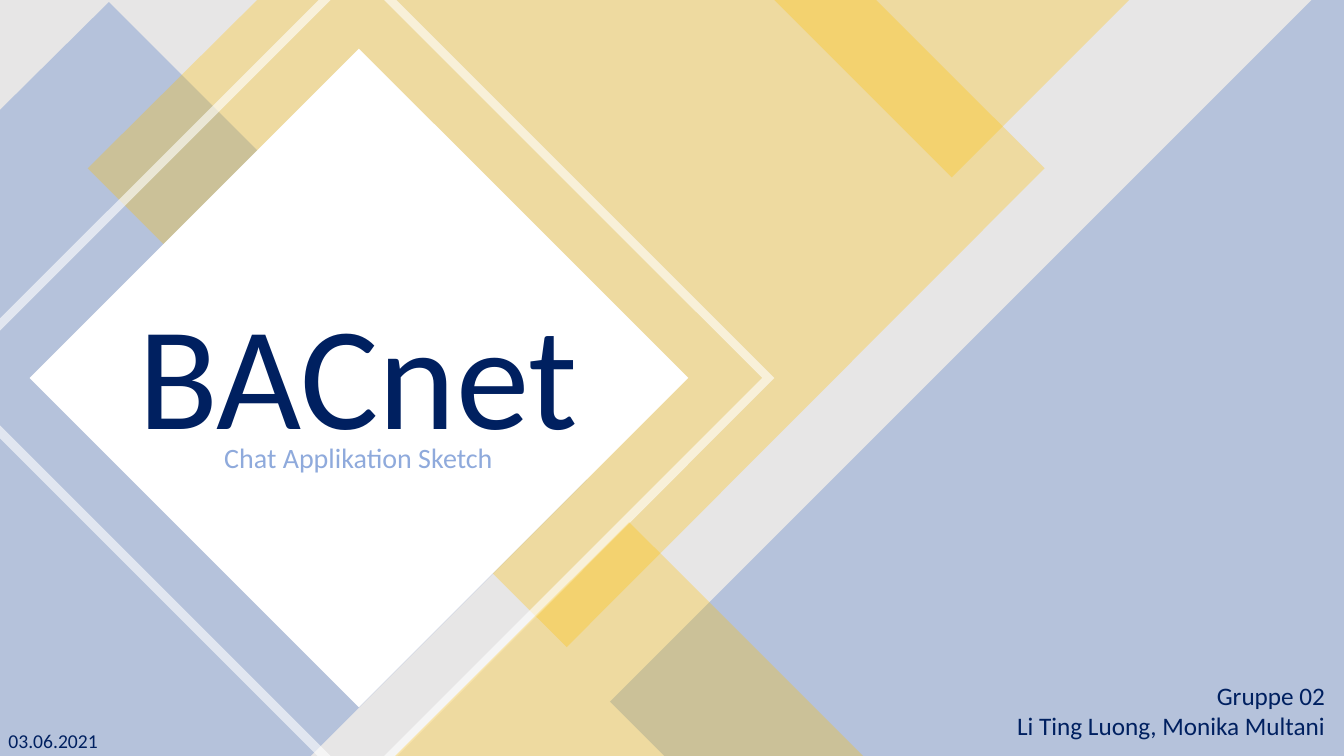
from lxml.etree import SubElement
from pptx import Presentation
from pptx.dml.color import RGBColor
from pptx.enum.shapes import MSO_SHAPE as Preset
from pptx.enum.text import MSO_ANCHOR as Anchor, MSO_AUTO_SIZE as AutoSize, PP_ALIGN as Align
from pptx.oxml.ns import qn
from pptx.util import Inches, Pt

COLOURS = {
    "grey": "E7E6E6",
    "white": "FFFFFF",
    "blue": "4472C4",
    "yellow": "FFC000",
    "navy": "002060",
    "light_blue": "8FAADC",
}
FONT = "Calibri"
WIDTH, HEIGHT = 13.33, 7.5

LEFT_BLUE = [(1.08, 0.02), (5.82, 4.76), (3.08, 7.5), (0, 7.5), (0, 1.09)]
TOP_YELLOW = [(2.55, 0), (8.69, 0), (10.36, 1.67), (5.62, 6.42), (0.87, 1.67)]
RIGHT_BLUE = [(13.01, 0), (WIDTH, 0), (WIDTH, HEIGHT), (6.59, HEIGHT), (6.05, 6.96)]
FRAME_BANDS = [
    [(0, 4.22), (3.28, 7.5), (3.15, 7.5), (0, 4.35)],
    [(3.81, 0), (3.93, 0), (7.68, 3.75), (3.94, 7.5), (3.81, 7.5), (7.56, 3.75)],
    [(3.16, 0), (3.28, 0), (0, 3.28), (0, 3.16)],
]


def paint(shape, colour, opacity=100):
    """Give a shape a flat fill without line or shadow; opacity is in percent."""
    shape.shadow.inherit = False
    shape.line.fill.background()
    shape.fill.solid()
    shape.fill.fore_color.rgb = RGBColor.from_string(COLOURS[colour])
    if opacity < 100:
        colour_node = shape._element.spPr.find(qn("a:solidFill"))[0]
        SubElement(colour_node, qn("a:alpha"), val=str(opacity * 1000))


def add_preset(slide, preset, box, colour, opacity=100, rotation=0):
    shape = slide.shapes.add_shape(preset, *map(Inches, box))
    shape.rotation = rotation
    paint(shape, colour, opacity)


def add_outline(slide, contours, colour, opacity):
    """Draw one freeform from closed contours given in slide inches."""
    paths = [[(Inches(x), Inches(y)) for x, y in contour] for contour in contours]
    builder = slide.shapes.build_freeform(*paths[0][0])
    for number, points in enumerate(paths):
        if number:
            builder.move_to(*points[0])
        builder.add_line_segments(points[1:], close=True)
    paint(builder.convert_to_shape(), colour, opacity)


def add_text(slide, text, box, size, colour="navy", align=Align.RIGHT,
             anchor=Anchor.TOP, line_spacing=None, grow=False):
    """Add a text box; each line of text becomes a paragraph."""
    frame = slide.shapes.add_textbox(*map(Inches, box)).text_frame
    frame.word_wrap = True
    frame.vertical_anchor = anchor
    frame.auto_size = AutoSize.SHAPE_TO_FIT_TEXT if grow else AutoSize.NONE
    frame.text = text
    for paragraph in frame.paragraphs:
        paragraph.alignment = align
        paragraph.line_spacing = line_spacing
        for run in paragraph.runs:
            run.font.name = FONT
            run.font.size = Pt(size)
            run.font.color.rgb = RGBColor.from_string(COLOURS[colour])


def main():
    deck = Presentation()
    deck.slide_width, deck.slide_height = Inches(WIDTH), Inches(HEIGHT)
    slide = deck.slides.add_slide(deck.slide_layouts[6])

    add_preset(slide, Preset.RECTANGLE, (0, 0, WIDTH, HEIGHT), "grey")
    add_outline(slide, [LEFT_BLUE], "blue", 30)
    add_outline(slide, [TOP_YELLOW], "yellow", 30)
    add_outline(slide, [RIGHT_BLUE], "blue", 30)
    add_preset(slide, Preset.RECTANGLE, (1.25, 1.44, 4.62, 4.62), "white", rotation=45)
    add_outline(slide, FRAME_BANDS, "white", 60)

    add_text(slide, "BACnet", (0.96, 2.72, 5.18, 2.14), 105,
             align=Align.CENTER, anchor=Anchor.MIDDLE, line_spacing=0.9)
    add_text(slide, "Chat Applikation Sketch", (2.06, 4.36, 2.99, 0.51), 20,
             colour="light_blue", align=Align.CENTER, line_spacing=0.9)

    add_preset(slide, Preset.ISOSCELES_TRIANGLE, (7.68, 0, 3.52, 1.76), "yellow", 30, rotation=180)
    add_preset(slide, Preset.ISOSCELES_TRIANGLE, (3.92, 5.18, 4.64, 2.32), "yellow", 30)

    add_text(slide, "Gruppe 02\nLi Ting Luong, Monika Multani", (9.39, 6.7, 3.85, 0.71), 18, grow=True)
    add_text(slide, "03.06.2021", (-2.78, 7.18, 3.85, 0.34), 14, grow=True)

    deck.save("out.pptx")


if __name__ == "__main__":
    main()
